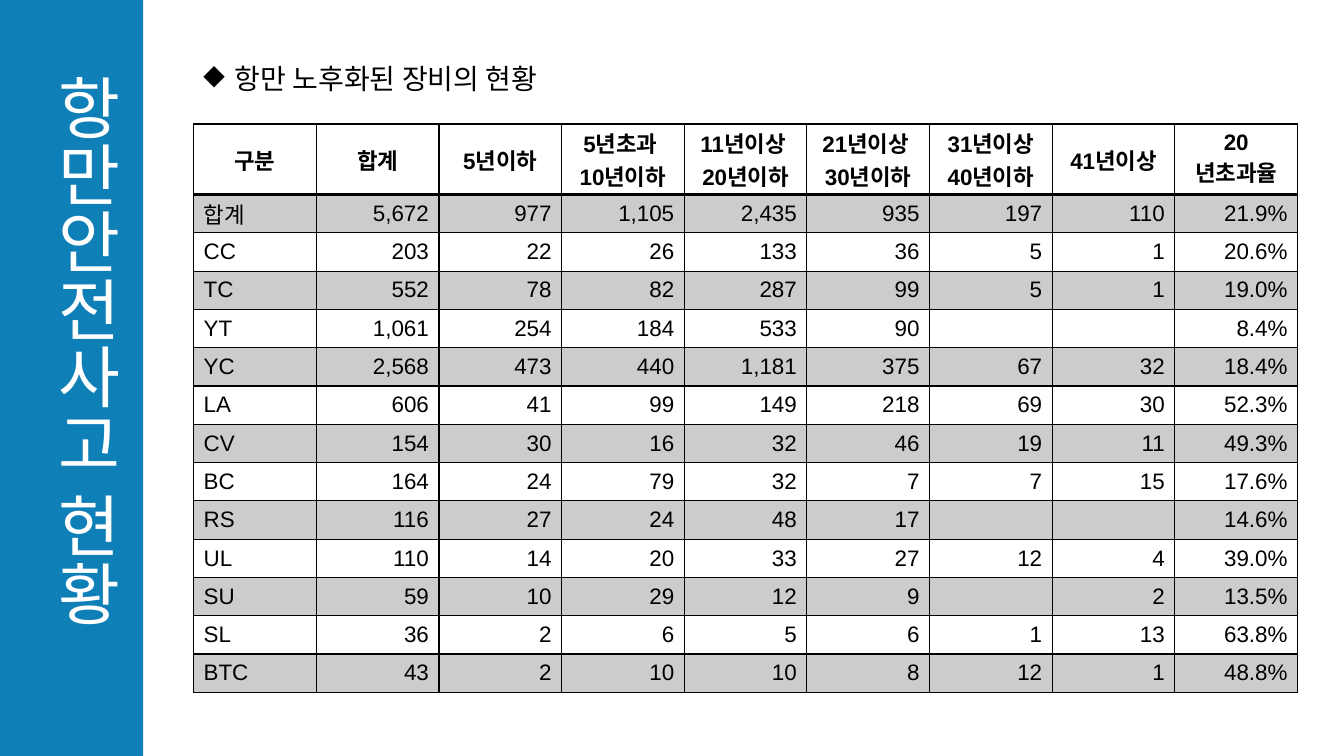
import pptx
import pptx.util
import pptx.dml.color
import pptx.enum.shapes
import pptx.enum.text
import pptx.oxml
import pptx.oxml.ns

Inches = pptx.util.Inches
Pt = pptx.util.Pt
ALIGN = pptx.enum.text.PP_ALIGN
COLORS = {"blue": "0E7FB7", "black": "000000", "white": "FFFFFF"}
NS = pptx.oxml.ns.nsdecls("a")


def add_run(paragraph, text, size, color, bold=False):
    run = paragraph.add_run()
    run.text = text
    run.font.name = "Arial"
    run.font.size = Pt(size)
    run.font.bold = bold
    run.font.color.rgb = pptx.dml.color.RGBColor.from_string(COLORS[color])


def border_xml(side, width):
    return pptx.oxml.parse_xml(
        f'<a:{side} {NS} w="{Pt(width)}"><a:solidFill>'
        f'<a:srgbClr val="{COLORS["black"]}"/></a:solidFill></a:{side}>')


deck = pptx.Presentation()
deck.slide_width = Inches(13.33)
deck.slide_height = Inches(7.5)
slide = deck.slides.add_slide(deck.slide_layouts[6])

# Blue side band with vertical title
band = slide.shapes.add_shape(pptx.enum.shapes.MSO_SHAPE.RECTANGLE,
                              0, 0, Inches(1.42), Inches(7.5))
band.shadow.inherit = False
band.fill.solid()
band.fill.fore_color.rgb = pptx.dml.color.RGBColor.from_string(COLORS["blue"])
band.line.fill.background()

title = slide.shapes.add_textbox(Inches(0.3), Inches(0.64), Inches(1.01), Inches(6.23)).text_frame
title.word_wrap = True
title._txBody.bodyPr.set("vert", "eaVert")
add_run(title.paragraphs[0], "항만안전사고 현황", 48, "white")

# Equipment age table
HEADERS = ["구분", "합계", "5년이하", "5년초과 \n10년이하", "11년이상 \n20년이하",
           "21년이상 \n30년이하", "31년이상\n40년이하", "41년이상", "20년초과율"]
EQUIPMENT = [
    ["합계", "5,672", "977", "1,105", "2,435", "935", "197", "110", "21.9%"],
    ["CC", "203", "22", "26", "133", "36", "5", "1", "20.6%"],
    ["TC", "552", "78", "82", "287", "99", "5", "1", "19.0%"],
    ["YT", "1,061", "254", "184", "533", "90", "", "", "8.4%"],
    ["YC", "2,568", "473", "440", "1,181", "375", "67", "32", "18.4%"],
    ["LA", "606", "41", "99", "149", "218", "69", "30", "52.3%"],
    ["CV", "154", "30", "16", "32", "46", "19", "11", "49.3%"],
    ["BC", "164", "24", "79", "32", "7", "7", "15", "17.6%"],
    ["RS", "116", "27", "24", "48", "17", "", "", "14.6%"],
    ["UL", "110", "14", "20", "33", "27", "12", "4", "39.0%"],
    ["SU", "59", "10", "29", "12", "9", "", "2", "13.5%"],
    ["SL", "36", "2", "6", "5", "6", "1", "13", "63.8%"],
    ["BTC", "43", "2", "10", "10", "8", "12", "1", "48.8%"],
]
rows = [HEADERS] + EQUIPMENT
ages = slide.shapes.add_table(len(rows), len(HEADERS), Inches(1.92), Inches(1.23),
                              Inches(10.95), Inches(5.63)).table
ages.first_row = False
ages.horz_banding = False
for column in ages.columns:
    column.width = Inches(10.95 / len(HEADERS))

for r, values in enumerate(rows):
    ages.rows[r].height = Inches(0.38 if r else 0.7)
    for c, value in enumerate(values):
        cell = ages.cell(r, c)
        cell.vertical_anchor = pptx.enum.text.MSO_ANCHOR.MIDDLE
        cell.margin_top = cell.margin_bottom = Inches(0.02)
        for i, line in enumerate(value.split("\n")):
            frame = cell.text_frame
            paragraph = frame.add_paragraph() if i else frame.paragraphs[0]
            if r == 0:
                paragraph.alignment = ALIGN.CENTER
            else:
                paragraph.alignment = ALIGN.RIGHT if c else ALIGN.LEFT
            if line:
                add_run(paragraph, line, 16, "black", bold=r == 0)
            else:
                paragraph._p.append(pptx.oxml.parse_xml(f'<a:endParaRPr {NS} sz="1600"/>'))

        # Borders come before the fill in the cell properties
        properties = cell._tc.get_or_add_tcPr()
        for side in ("lnL", "lnR", "lnT", "lnB"):
            properties.append(border_xml(side, 2 if r == 0 and side == "lnB" else 1))
        if r % 2:
            properties.append(pptx.oxml.parse_xml(
                f'<a:solidFill {NS}><a:srgbClr val="{COLORS["black"]}">'
                '<a:alpha val="20000"/></a:srgbClr></a:solidFill>'))
        else:
            cell.fill.background()

# Bulleted heading
heading = slide.shapes.add_textbox(Inches(1.92), Inches(0.56), Inches(4.6), Inches(0.44)).text_frame
heading.word_wrap = True
bullet = heading.paragraphs[0]
indent = bullet._p.get_or_add_pPr()
indent.set("marL", str(Inches(0.31)))
indent.set("indent", str(-Inches(0.31)))
indent.append(pptx.oxml.parse_xml(f'<a:buChar {NS} char="◆"/>'))
add_run(bullet, "항만 노후화된 장비의 현황", 20, "black")

deck.save("out.pptx")
